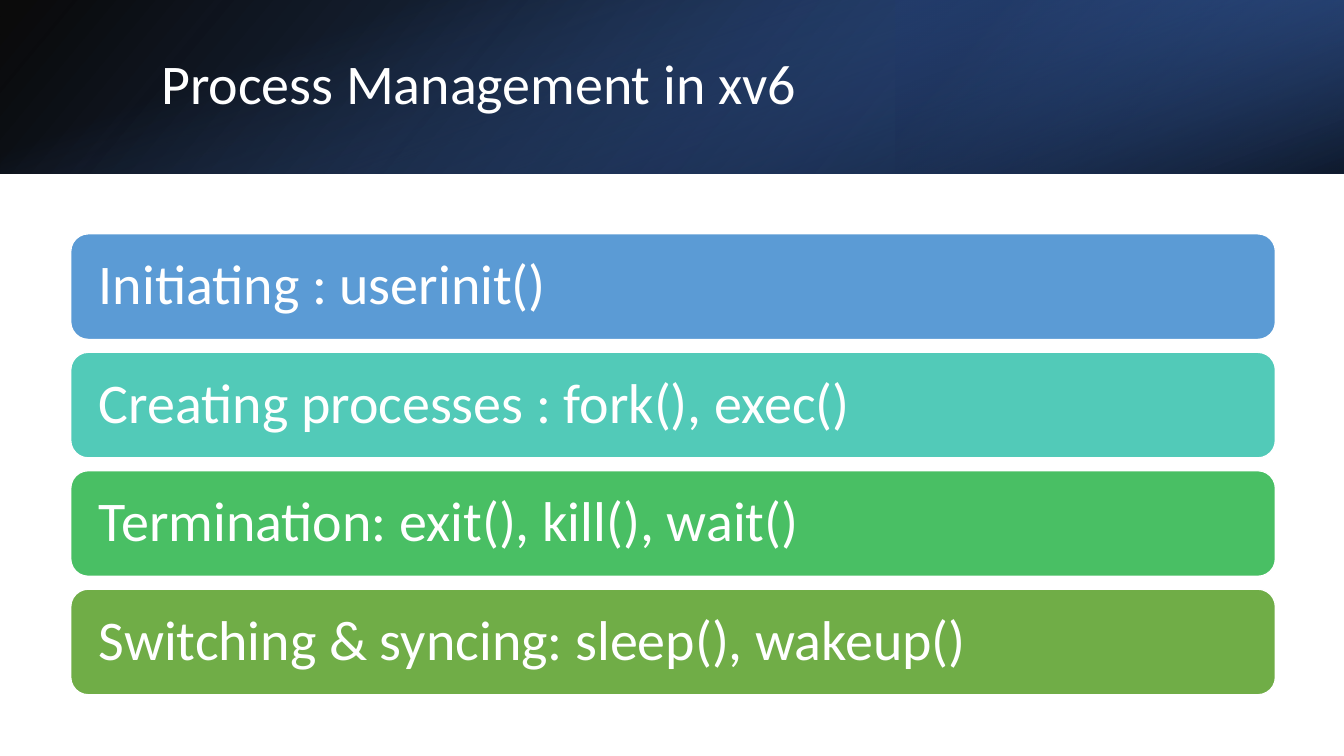
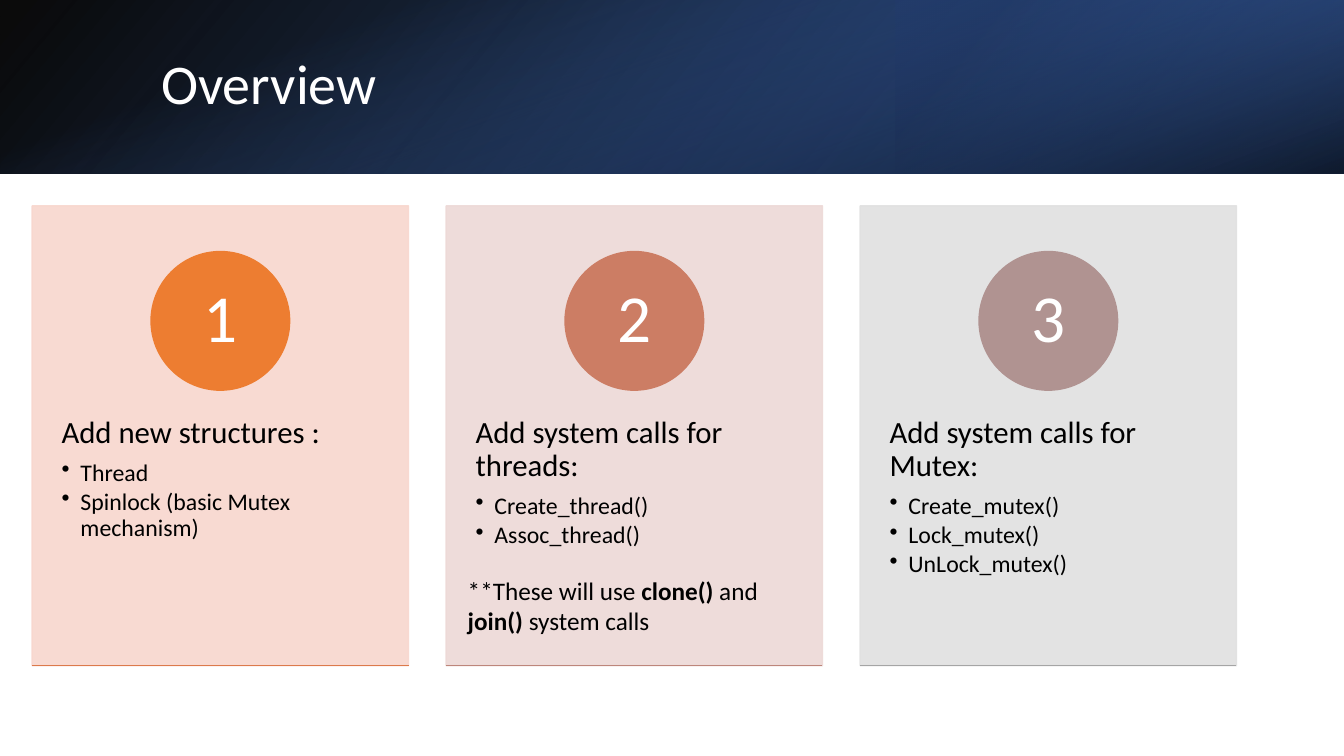
"""Build two slides on process management and the planned system calls of xv6."""
import pptx
import pptx.dml.color
import pptx.enum.shapes
import pptx.enum.text
import pptx.oxml.ns
import pptx.util
from lxml import etree

Pt = pptx.util.Pt
RGB = pptx.dml.color.RGBColor
SHAPE = pptx.enum.shapes.MSO_SHAPE
ALIGN = pptx.enum.text.PP_ALIGN
ANCHOR = pptx.enum.text.MSO_ANCHOR
qn = pptx.oxml.ns.qn

FONT = "Calibri"
WHITE, BLACK = RGB(255, 255, 255), RGB(0, 0, 0)
NAVY, DEEP_BLUE, BLUE = RGB(0x20, 0x38, 0x64), RGB(0x2F, 0x55, 0x97), RGB(0x44, 0x72, 0xC4)
SKY, TEAL = RGB(0x5B, 0x9B, 0xD5), RGB(0x52, 0xCA, 0xB8)
GREEN, OLIVE = RGB(0x49, 0xBF, 0x64), RGB(0x70, 0xAD, 0x47)
ORANGE, CORAL, MAUVE = RGB(0xED, 0x7D, 0x31), RGB(0xCC, 0x7D, 0x64), RGB(0xB0, 0x93, 0x91)
PEACH, ROSE, SILVER = RGB(0xF8, 0xD7, 0xCE), RGB(0xED, 0xD9, 0xD7), RGB(0xE1, 0xE1, 0xE1)
RUST, CLAY, GRAY = RGB(0xDC, 0x7A, 0x4B), RGB(0xBD, 0x86, 0x7B), RGB(0xA5, 0xA5, 0xA5)

WIDTH, HEIGHT, BAND = 960, 540, 124
# box, rotation, flipped, angle, then position, colour and opacity of each stop
BAND_LAYERS = [
    ((0, 0, WIDTH, BAND), 0, True, 140, [(0, BLACK, 96), (1, DEEP_BLUE, 100)]),
    ((640, 0, 320, BAND), 180, True, 320, [(0.19, NAVY, 68), (1, BLUE, 79)]),
    (((WIDTH - BAND) / 2, (BAND - WIDTH) / 2, BAND, WIDTH), 90, False, 340,
     [(0.23, BLUE, 0), (0.99, BLACK, 74)]),
]

BARS = [
    ("Initiating : userinit()", SKY),
    ("Creating processes : fork(), exec()", TEAL),
    ("Termination: exit(), kill(), wait()", GREEN),
    ("Switching & syncing: sleep(), wakeup()", OLIVE),
]
CARDS = [
    ("Add new structures :", ["Thread", "Spinlock (basic Mutex mechanism)"],
     PEACH, ORANGE, RUST),
    ("Add system calls for threads:", ["Create_thread()", "Assoc_thread()"],
     ROSE, CORAL, CLAY),
    ("Add system calls for Mutex:", ["Create_mutex()", "Lock_mutex()", "UnLock_mutex()"],
     SILVER, MAUVE, GRAY),
]


def apply(target, values):
    for name, value in values.items():
        setattr(target, name, value)


def fade(sp, opacities):
    for color, opacity in zip(sp._element.spPr.iter(qn("a:srgbClr")), opacities):
        etree.SubElement(color, qn("a:alpha")).set("val", str(opacity * 1000))


class Deck:
    def __init__(self):
        self.prs = pptx.Presentation()
        apply(self.prs, {"slide_width": Pt(WIDTH), "slide_height": Pt(HEIGHT)})
        self.s = None

    def slide(self, title):
        self.s = self.prs.slides.add_slide(self.prs.slide_layouts[5])
        for layer in BAND_LAYERS:
            self.band_layer(*layer)
        sp = self.s.shapes.title
        self.s.shapes._spTree.append(sp._element)
        apply(sp, {"left": Pt(108), "top": Pt(27.4), "width": Pt(790.5), "height": Pt(69)})
        self.frame(sp, ANCHOR.MIDDLE)
        self.put_text(sp.text_frame.paragraphs[0], [title], 40, WHITE)

    def band_layer(self, box, rotation, flipped, angle, stops):
        sp = self.shape(SHAPE.RECTANGLE, box)
        sp.rotation = rotation
        if flipped:
            sp._element.spPr.get_or_add_xfrm().set("flipH", "1")
        sp.fill.gradient()
        sp.fill.gradient_angle = 360 - angle
        for stop, (position, color, _) in zip(sp.fill.gradient_stops, stops):
            stop.position = position
            stop.color.rgb = color
        fade(sp, [opacity for _, _, opacity in stops])

    def shape(self, kind, box, fill=None, line=None):
        sp = self.s.shapes.add_shape(kind, *map(Pt, box))
        sp.shadow.inherit = False
        if fill is not None:
            sp.fill.solid()
            sp.fill.fore_color.rgb = fill
        if line is None:
            sp.line.fill.background()
        else:
            sp.line.color.rgb = line
            sp.line.width = Pt(1)
        return sp

    def frame(self, sp, anchor, insets=(7.2, 3.6, 7.2, 3.6)):
        sides = ("margin_left", "margin_top", "margin_right", "margin_bottom")
        apply(sp.text_frame, {
            "word_wrap": True, "auto_size": pptx.enum.text.MSO_AUTO_SIZE.NONE,
            "vertical_anchor": anchor, **dict(zip(sides, map(Pt, insets)))})

    def put_text(self, p, texts, size, color, align=ALIGN.LEFT, spacing=0.9, after=0):
        apply(p, {"alignment": align, "line_spacing": spacing,
                  "space_before": Pt(0), "space_after": Pt(after)})
        for i, text in enumerate(texts):
            r = p.add_run()
            r.text = text
            apply(r.font, {"name": FONT, "size": Pt(size), "bold": i % 2 == 1})
            r.font.color.rgb = color

    def bullet(self, p, text):
        pPr = p._p.get_or_add_pPr()
        pPr.set("marL", str(Pt(13.5)))
        pPr.set("indent", str(-Pt(13.5)))
        etree.SubElement(pPr, qn("a:buChar")).set("char", "•")
        self.put_text(p, [text], 17, BLACK, after=2.5)

    def bar(self, top, text, color):
        sp = self.shape(SHAPE.ROUNDED_RECTANGLE, (50.5, top, 860.5, 75.5), color, WHITE)
        self.frame(sp, ANCHOR.MIDDLE, (16.5, 12, 16.5, 12))
        self.put_text(sp.text_frame.paragraphs[0], [text], 40, WHITE)

    def card(self, left, number, heading, items, fill, accent, rule):
        top, width, height, disc = 147, 268.8, 328.5, 99
        sp = self.shape(SHAPE.RECTANGLE, (left, top, width, height), fill, fill)
        fade(sp, [90, 90])
        self.frame(sp, ANCHOR.TOP, (21, 150.5, 21, 7))
        tf = sp.text_frame
        self.put_text(tf.paragraphs[0], [heading], 22, BLACK, after=7.7)
        for item in items:
            self.bullet(tf.add_paragraph(), item)
        sp = self.shape(SHAPE.OVAL, (left + (width - disc) / 2, 179.7, disc, disc), accent, accent)
        self.frame(sp, ANCHOR.MIDDLE, (0, 0, 0, 0))
        self.put_text(sp.text_frame.paragraphs[0], [str(number)], 48, WHITE, ALIGN.CENTER)
        self.rule(left, top + height, width, rule)

    def rule(self, left, top, width, color):
        line = self.s.shapes.add_connector(
            pptx.enum.shapes.MSO_CONNECTOR.STRAIGHT, *map(Pt, (left, top, left + width, top)))
        line.line.color.rgb = color
        line.line.width = Pt(1)
        etree.SubElement(line._element.spPr, qn("a:effectLst"))

    def note(self, box, texts):
        sp = self.s.shapes.add_textbox(*map(Pt, box))
        self.frame(sp, ANCHOR.TOP)
        self.put_text(sp.text_frame.paragraphs[0], texts, 18, BLACK, spacing=1)


def main():
    deck = Deck()
    deck.slide("Process Management in xv6")
    for i, (text, color) in enumerate(BARS):
        deck.bar(167 + 84.6 * i, text, color)

    deck.slide("Overview")
    for i, card in enumerate(CARDS):
        deck.card(23 + 295.7 * i, i + 1, *card)
    deck.note((327, 407.5, 253.5, 51),
              ["**These will use ", "clone()", " and ", "join()", " system calls"])
    deck.prs.save("out.pptx")


if __name__ == "__main__":
    main()
